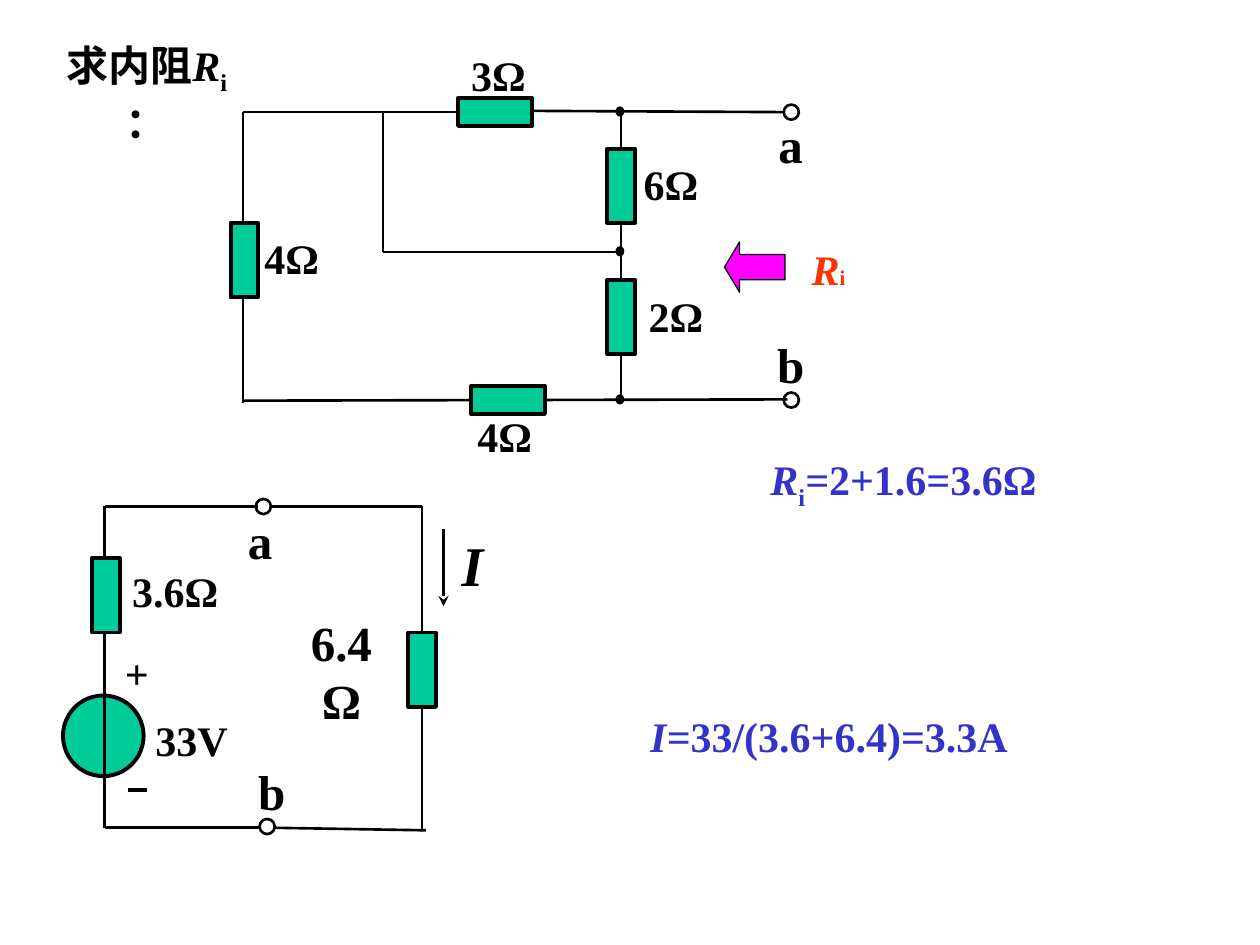
from dataclasses import dataclass
from typing import Any

from lxml import etree
from pptx import Presentation
from pptx.dml.color import RGBColor
from pptx.enum.shapes import MSO_CONNECTOR, MSO_SHAPE
from pptx.enum.text import MSO_ANCHOR, PP_ALIGN
from pptx.oxml.ns import qn
from pptx.util import Inches, Pt

STRAIGHT = MSO_CONNECTOR.STRAIGHT
RECT, OVAL, LEFT_ARROW = MSO_SHAPE.RECTANGLE, MSO_SHAPE.OVAL, MSO_SHAPE.LEFT_ARROW
TOP, MIDDLE = MSO_ANCHOR.TOP, MSO_ANCHOR.MIDDLE
LEFT, CENTER = PP_ALIGN.LEFT, PP_ALIGN.CENTER

COLUMNS, ROWS = 100, 75
CELL = 0.1
FONT = "Times New Roman"
COLORS = {"ink": "000000", "part": "00CC99", "result": "3333CC",
          "port": "FF00FF", "unknown": "FF3300"}


def grid(count):
    """Turn a number of grid cells into a length."""
    return Inches(count * CELL)


def rgb(key):
    """Look up a named colour."""
    return RGBColor.from_string(COLORS[key])


@dataclass
class Box:
    """Area of the slide whose parts are placed from its top left cell."""

    slide: Any
    col: float
    row: float

    def figure(self, preset, col, row, cols, rows, fill=None, weight=2.25):
        """Draw an outlined preset shape."""
        shape = self.slide.shapes.add_shape(
            preset, grid(self.col + col), grid(self.row + row), grid(cols), grid(rows))
        shape.shadow.inherit = False
        if fill:
            shape.fill.solid()
            shape.fill.fore_color.rgb = rgb(fill)
        else:
            shape.fill.background()
        shape.line.color.rgb = rgb("ink")
        shape.line.width = Pt(weight)
        return shape

    def centred(self, preset, col, row, cols, rows, fill=None, weight=2.25):
        """Draw a preset shape around a point."""
        self.figure(preset, col - cols / 2, row - rows / 2, cols, rows, fill, weight)

    def resistor(self, col, row, upright=True):
        """Draw a resistor around a point."""
        cols, rows = (2.2, 5.9) if upright else (5.9, 2.2)
        self.centred(RECT, col, row, cols, rows, "part")

    def terminal(self, col, row):
        """Draw an open terminal around a point."""
        self.centred(OVAL, col, row, 1.2, 1.2, weight=1.5)

    def wire(self, col, row, end_col, end_row, weight=1.5, arrow=False):
        """Draw a straight wire between two points."""
        line = self.slide.shapes.add_connector(
            STRAIGHT, grid(self.col + col), grid(self.row + row),
            grid(self.col + end_col), grid(self.row + end_row))
        line.line.color.rgb = rgb("ink")
        line.line.width = Pt(weight)
        properties = line._element.spPr
        if arrow:
            etree.SubElement(properties.find(qn("a:ln")), qn("a:tailEnd"), type="stealth")
        etree.SubElement(properties, qn("a:effectLst"))

    def label(self, col, row, cols, *pieces, rows=5, size=24, color="ink",
              align=CENTER, wrap=False):
        """Write a bold line from pieces of (text, style)."""
        frame = self.slide.shapes.add_textbox(
            grid(self.col + col), grid(self.row + row), grid(cols), grid(rows)).text_frame
        frame.word_wrap = wrap or align == LEFT
        frame.vertical_anchor = MIDDLE if align == CENTER else TOP
        paragraph = frame.paragraphs[0]
        paragraph.alignment = align
        font = paragraph.font
        font.name, font.size, font.bold = FONT, Pt(size), True
        font.color.rgb = rgb(color)
        for text, style in pieces:
            run = paragraph.add_run()
            run.text = text
            if style == "italic":
                run.font.italic = True
            elif style == "sub":
                run.font._element.set("baseline", "-25000")
            elif style == "small":
                run.font.size = Pt(size / 2)


def add_title(box):
    """Write the task."""
    box.label(0, 0, 18.5, ("求内阻", ""), ("R", "italic"), ("i ", "sub"), ("：", ""), wrap=True)


def add_results(box):
    """Write the resistance and the current found."""
    box.label(4.5, 0, 33.2, ("R", "italic"), ("i", "sub"), ("=", "italic"),
              ("2+1.6=3.6Ω", ""), color="result")
    box.label(0, 20.1, 30.4, ("I=", "italic"), ("33/(3.6+6.4)=3.3A", ""), color="result")


def add_network(box):
    """Draw the resistor network seen from terminals a and b."""
    left, shunt, right, port = 1.3, 12.4, 31.3, 44.8
    top, middle, bottom = 5.9, 17, 28.75
    for name, row in (("a", 5.6), ("b", 23)):
        box.label(42.7, row, 4.1, (name, ""), rows=5.7, size=28)
    for ends in ((left, top, 18.4, top), (24.2, top - 0.1, 44.3, top),
                 (left, top, left, 14.7), (left, 20.6, left, 29),
                 (left, bottom + 0.05, port - 0.3, bottom - 0.05),
                 (right, top, right, 8.7), (right, 14.5, right, 19.2),
                 (right, 25.2, right, bottom),
                 (shunt, middle, right, middle), (shunt, top, shunt, middle)):
        box.wire(*ends)
    for value, col, row in ((3, 18.4, 0.4), (4, 2, 15), (6, 32.1, 9.1),
                            (2, 32.5, 19.6), (4, 18.9, 29.1)):
        box.label(col, row, 7.2, (f"{value}Ω", ""), align=LEFT)
    for row in (top, middle, bottom):
        box.centred(OVAL, right - 0.1, row - 0.05, 0.6, 0.7, "ink", 0.75)
    for col, row, upright in ((21.3, top, False), (left + 0.1, 17.65, True),
                              (right, 11.75, True), (right, 22.15, True),
                              (22.3, bottom, False)):
        box.resistor(col, row, upright)
    for row in (top, bottom):
        box.terminal(port, row)
    arrow = box.figure(LEFT_ARROW, 39.5, 16.2, 4.8, 4, "port", 0.75)
    arrow.adjustments[0], arrow.adjustments[1] = 0.5, 0.3
    box.label(44.7, 15.8, 6.1, ("R", "italic"), ("i", "small"), color="unknown")


def add_load(box):
    """Draw the load branch and its current."""
    rail = 12
    box.wire(rail, 0.2, rail, 25.9)
    box.resistor(rail, 13.15)
    box.wire(0, 0.2, rail, 0.2)
    box.wire(0.3, 25.7, rail + 0.3, 25.9)
    box.label(0.8, 10.4, 9.6, ("6.4Ω", ""), rows=5.7, size=28, wrap=True)
    box.wire(13.7, 2, 13.7, 8.1, arrow=True)
    box.label(14.1, 1.6, 3.8, ("I", "italic"), rows=6.3, size=32)


def add_source(box):
    """Draw the voltage source with its inner resistance."""
    rail, top, bottom = 3.3, 0.2, 25.7
    box.wire(rail, top, rail, 4.4)
    box.centred(OVAL, rail - 0.1, 18.4, 6.4, 6.4, "part")
    box.resistor(rail + 0.1, 7.25)
    box.wire(rail, bottom, 15.7, bottom)
    box.wire(rail, top, 15.5, top)
    box.wire(rail, 10.3, rail, bottom)
    for name, col, row, end in (("a", 13.6, 0, (15.9, top)), ("b", 14.5, 19.9, (16.2, 25.6))):
        box.label(col, row, 4.1, (name, ""), rows=5.7, size=28)
        box.terminal(*end)
    for text, col, row, cols in (("33V", 6.3, 16.2, 7.8), ("3.6Ω", 4, 4.4, 9.8),
                                 ("+", 3.9, 10.9, 3.9)):
        box.label(col, row, cols, (text, ""))
    box.wire(5.2, 22.7, 6.7, 22.7, weight=2.25)


def main():
    """Build and save the slide."""
    deck = Presentation()
    deck.slide_width, deck.slide_height = grid(COLUMNS), grid(ROWS)
    slide = deck.slides.add_slide(deck.slide_layouts[6])
    add_title(Box(slide, 2.4, 4.9))
    add_results(Box(slide, 50.6, 35.8))
    add_load(Box(slide, 21.5, 40))
    add_network(Box(slide, 18, 3))
    add_source(Box(slide, 5, 40))
    deck.save("out.pptx")


if __name__ == "__main__":
    main()
